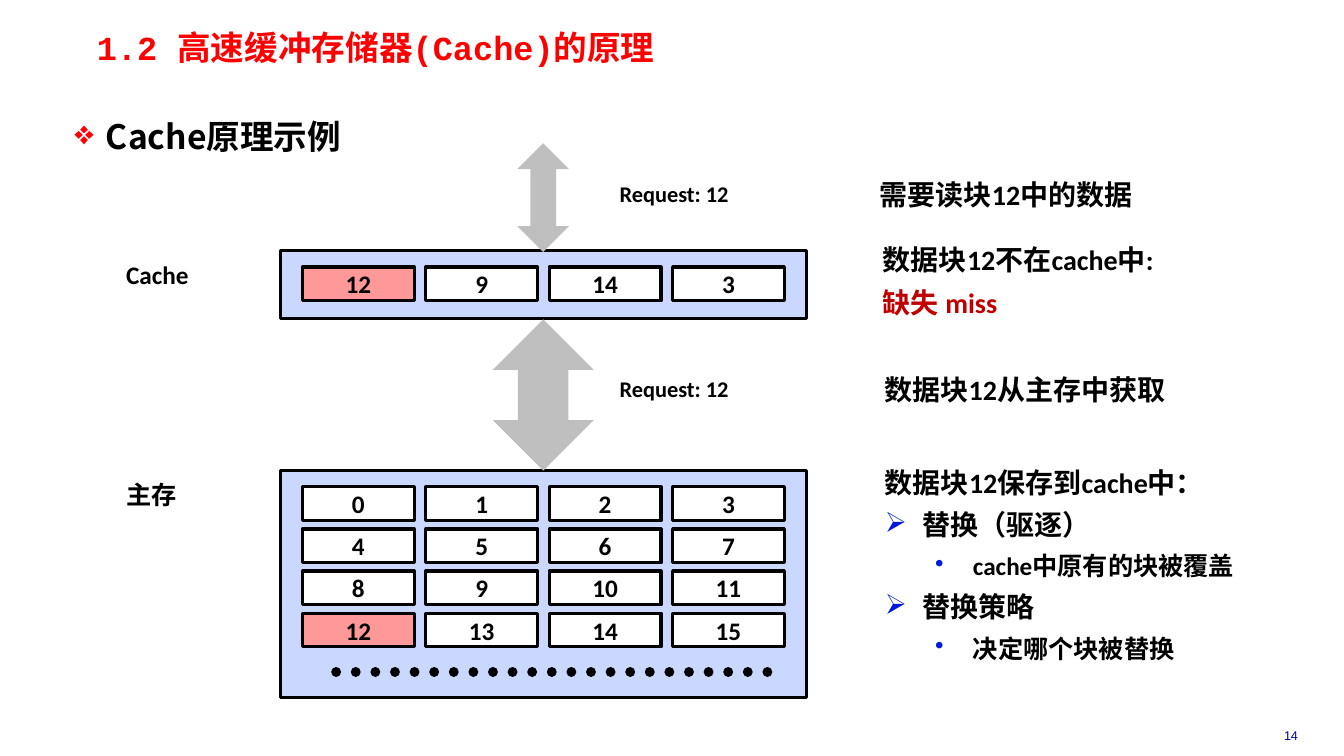
"""Build the slide that explains the cache principle with a block-miss example."""
from dataclasses import dataclass

import lxml.etree
import pptx
import pptx.dml.color
import pptx.enum.dml
import pptx.enum.shapes
import pptx.enum.text
import pptx.oxml.ns
import pptx.util

Cm = pptx.util.Cm
Pt = pptx.util.Pt
ALIGN = pptx.enum.text.PP_ALIGN
ANCHOR = pptx.enum.text.MSO_ANCHOR
SHAPE = pptx.enum.shapes.MSO_SHAPE
qn = pptx.oxml.ns.qn

BLACK, WHITE, RED, MISS_RED = "000000", "FFFFFF", "FF0000", "C00000"
BANK_BLUE, REQUESTED_PINK, ARROW_GREY = "CAD7FE", "FF9999", "BFBFBF"
BULLET_BLUE, PAGE_BLUE = "001ADC", "000099"
REQUESTED = 12
BANK_LEFT, BANK_WIDTH = 7.06, 13.26
BLOCK_WIDTH, BLOCK_HEIGHT = 2.82, 0.85
BLOCK_PITCH_X, BLOCK_PITCH_Y = 3.11, 1.06
BLOCK_INSET_X, BLOCK_INSET_Y = 0.56, 0.41
BANK_CENTER = BANK_LEFT + BANK_WIDTH / 2


@dataclass
class Line:
    text: str
    size: float = 20
    color: str = BLACK
    font: str = "Calibri"
    bold: bool = True
    align: ALIGN = ALIGN.LEFT
    spacing: float = 0.98
    before: float = 7
    bullet: str = ""
    bullet_color: str = BULLET_BLUE
    margin: float = 0
    hanging: float = 0
    level: int = 0


@dataclass
class TextArea:
    left: float
    top: float
    width: float
    height: float
    lines: list[Line]
    anchor: ANCHOR = ANCHOR.MIDDLE
    inset_x: float = 0.25
    inset_y: float = 0.13


@dataclass
class Bank:
    top: float
    height: float
    rows: list[list[int]]


@dataclass
class Transfer:
    top: float
    width: float
    height: float


def apply(target: object, values: dict) -> None:
    for attribute, value in values.items():
        setattr(target, attribute, value)


def rgb(color: str) -> pptx.dml.color.RGBColor:
    return pptx.dml.color.RGBColor.from_string(color)


def write(frame, lines: list[Line]) -> None:
    for index, line in enumerate(lines):
        paragraph = frame.add_paragraph() if index else frame.paragraphs[0]
        apply(paragraph, {"alignment": line.align, "line_spacing": line.spacing,
                          "space_before": Pt(line.before if index else 0),
                          "level": line.level})
        if line.bullet:
            properties = paragraph._p.get_or_add_pPr()
            properties.set("marL", str(Cm(line.margin)))
            properties.set("indent", str(-Cm(line.hanging)))
            tint = lxml.etree.SubElement(properties, qn("a:buClr"))
            lxml.etree.SubElement(tint, qn("a:srgbClr"), val=line.bullet_color)
            lxml.etree.SubElement(properties, qn("a:buChar"), char=line.bullet)
        run = paragraph.add_run()
        run.text = line.text
        apply(run.font, {"size": Pt(line.size), "bold": line.bold, "name": line.font})
        run.font.color.rgb = rgb(line.color)
        latin = run.font._element.find(qn("a:latin"))
        latin.addnext(latin.makeelement(qn("a:ea"), {"typeface": line.font}))


def draw_text(slide, area: TextArea) -> None:
    place = map(Cm, (area.left, area.top, area.width, area.height))
    frame = slide.shapes.add_textbox(*place).text_frame
    apply(frame, {"word_wrap": True, "vertical_anchor": area.anchor,
                  "margin_left": Cm(area.inset_x), "margin_right": Cm(area.inset_x),
                  "margin_top": Cm(area.inset_y), "margin_bottom": Cm(area.inset_y)})
    write(frame, area.lines)


def draw_shape(slide, kind: SHAPE, left: float, top: float, width: float,
               height: float, fill: str, outlined: bool = True):
    shape = slide.shapes.add_shape(kind, *map(Cm, (left, top, width, height)))
    shape.shadow.inherit = False
    shape.fill.solid()
    shape.fill.fore_color.rgb = rgb(fill)
    if outlined:
        shape.line.color.rgb = rgb(BLACK)
        shape.line.width = Pt(2.25)
    else:
        shape.line.fill.background()
    return shape


def draw_bank(slide, bank: Bank) -> None:
    draw_shape(slide, SHAPE.RECTANGLE, BANK_LEFT, bank.top, BANK_WIDTH, bank.height, BANK_BLUE)
    for row, numbers in enumerate(bank.rows):
        for column, number in enumerate(numbers):
            block = draw_shape(
                slide, SHAPE.RECTANGLE,
                BANK_LEFT + BLOCK_INSET_X + column * BLOCK_PITCH_X,
                bank.top + BLOCK_INSET_Y + row * BLOCK_PITCH_Y,
                BLOCK_WIDTH, BLOCK_HEIGHT,
                REQUESTED_PINK if number == REQUESTED else WHITE)
            block.text_frame.vertical_anchor = ANCHOR.MIDDLE
            write(block.text_frame, [Line(str(number), 18, align=ALIGN.CENTER, spacing=1.0)])


def draw_transfer(slide, transfer: Transfer) -> None:
    draw_shape(slide, SHAPE.UP_DOWN_ARROW, BANK_CENTER - transfer.width / 2,
               transfer.top, transfer.width, transfer.height, ARROW_GREY, False)


def draw_more_blocks(slide) -> None:
    dots = slide.shapes.add_connector(pptx.enum.shapes.MSO_CONNECTOR.STRAIGHT,
                                      *map(Cm, (8.47, 16.93, 19.76, 16.93)))
    dots.line.color.rgb = rgb(BLACK)
    apply(dots.line, {"width": Pt(7), "dash_style": pptx.enum.dml.MSO_LINE.ROUND_DOT})
    dots.get_or_add_ln().set("cap", "rnd")
    lxml.etree.SubElement(dots._element.spPr, qn("a:effectLst"))


def policy(text: str) -> Line:
    return Line(text, bullet="➢", margin=0.95, hanging=0.95)


def detail(text: str) -> Line:
    return Line(text, 18, bullet="•", margin=2.22, hanging=0.95, level=1)


def request(top: float) -> TextArea:
    return TextArea(14.84, top, 4.3, 0.84,
                    [Line("Request: 12", 16, align=ALIGN.CENTER, spacing=0.85)])


def level_name(text: str, top: float) -> TextArea:
    return TextArea(2.93, top, 3, 0.91, [Line(text, 18, spacing=0.85)])


BANKS = [Bank(11.86, 5.71, [list(range(start, start + 4)) for start in range(0, 16, 4)]),
         Bank(6.32, 1.7, [[REQUESTED, 9, 14, 3]])]
TRANSFERS = [Transfer(8.05, 2.54, 3.81), Transfer(3.61, 1.3, 2.74)]
TEXTS = [
    TextArea(31.34, 18.21, 2.39, 0.64,
             [Line("14", 9, PAGE_BLUE, "Arial", False, ALIGN.CENTER, 1.0)]),
    TextArea(2.26, 0.74, 19.48, 1.04,
             [Line("1.2 高速缓冲存储器(Cache)的原理", 24, RED, "Courier New", spacing=0.87)],
             inset_x=0.18, inset_y=0.08),
    TextArea(1.7, 2.59, 30.48, 1.3,
             [Line(" Cache原理示例", 24, font="Noto Sans CJK SC", spacing=1.25, bullet="❖",
                   bullet_color=RED, margin=0.6, hanging=0.6)], ANCHOR.TOP, 0.18, 0.08),
    request(4.5),
    request(9.42),
    level_name("Cache", 6.53),
    level_name("主存", 12.07),
    TextArea(21.92, 4.39, 8.41, 1.09, [Line("需要读块12中的数据")]),
    TextArea(22, 5.97, 7.42, 2.29,
             [Line("数据块12不在cache中:"), Line("缺失 miss", color=MISS_RED)]),
    TextArea(22.04, 9.3, 7.67, 1.09, [Line("数据块12从主存中获取")]),
    TextArea(22.05, 11.63, 9.4, 6.1,
             [Line("数据块12保存到cache中："),
              policy("替换（驱逐）"), detail("cache中原有的块被覆盖"),
              policy("替换策略"), detail("决定哪个块被替换")], ANCHOR.TOP),
]


def main() -> None:
    deck = pptx.Presentation()
    apply(deck, {"slide_width": Cm(33.87), "slide_height": Cm(19.05)})
    slide = deck.slides.add_slide(deck.slide_layouts[6])
    for bank in BANKS:
        draw_bank(slide, bank)
    draw_more_blocks(slide)
    for transfer in TRANSFERS:
        draw_transfer(slide, transfer)
    for area in TEXTS:
        draw_text(slide, area)
    deck.save("out.pptx")


if __name__ == "__main__":
    main()
